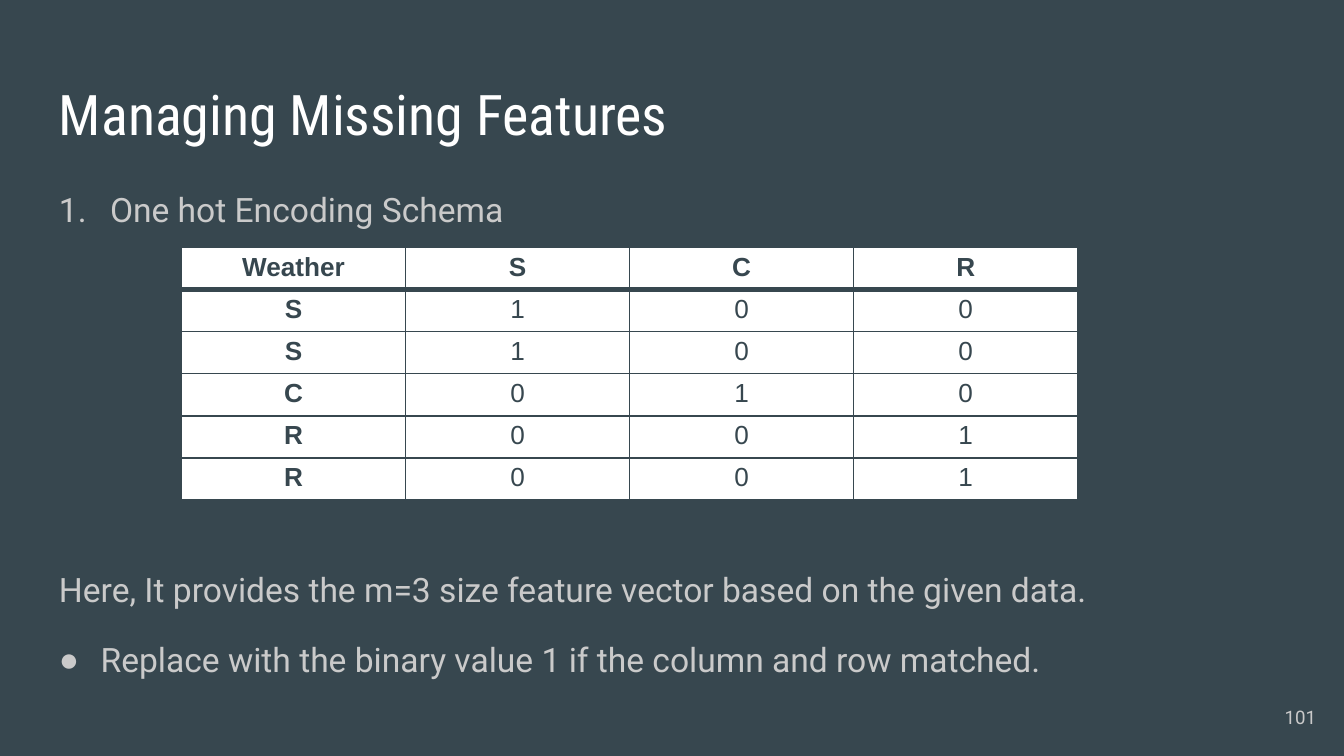
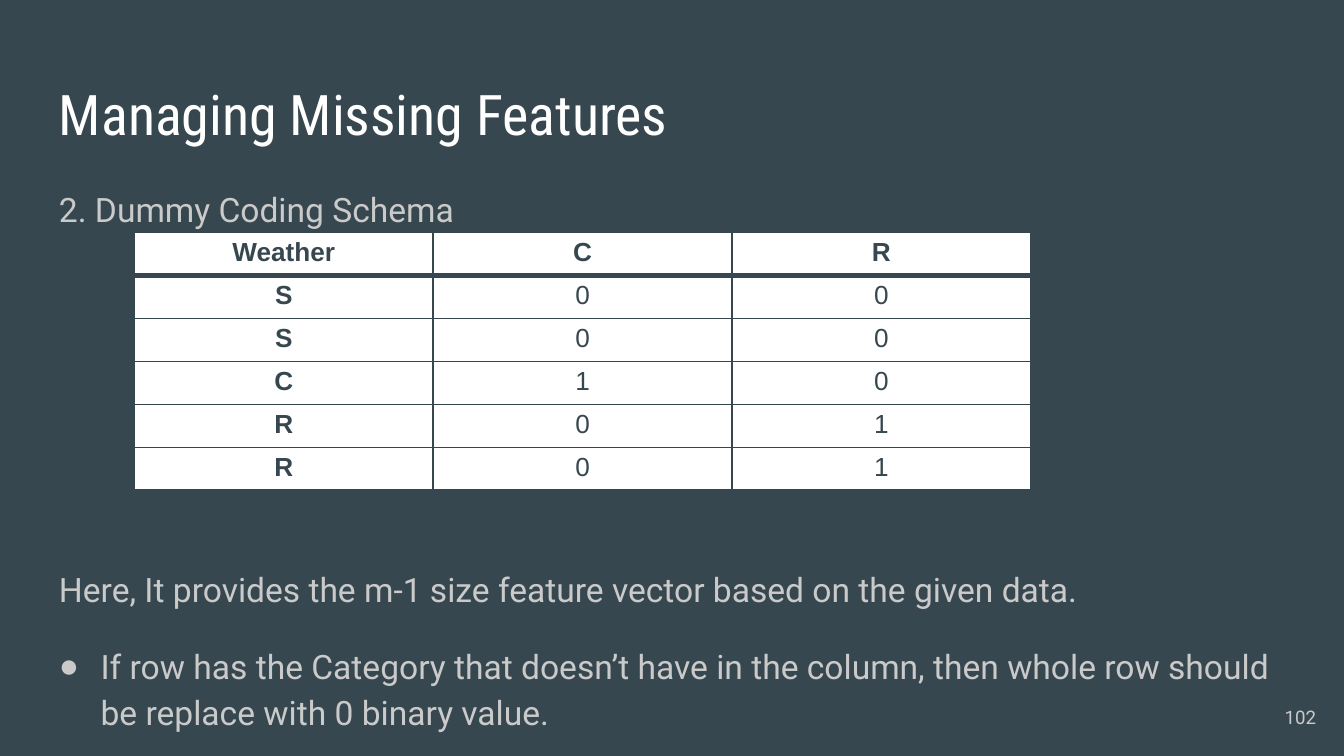
from dataclasses import dataclass
from typing import Optional

from lxml.etree import SubElement
from pptx import Presentation
from pptx.dml.color import RGBColor
from pptx.enum.text import MSO_ANCHOR as Anchor, PP_ALIGN as Align
from pptx.oxml.ns import qn
from pptx.util import Inches, Pt

SLATE, WHITE, GREY = "37474F", "FFFFFF", "CACACA"
TITLE_STYLE = {"name": "Roboto Condensed", "size": Pt(30)}
BODY_STYLE = {"name": "Roboto", "size": Pt(18)}
NUMBER_STYLE = {"name": "Roboto", "size": Pt(10)}
CELL_STYLE = {"name": "Arial", "size": Pt(14)}
TABLE_GAP = Pt(163)


@dataclass(frozen=True)
class Box:
    left: float
    top: float
    width: float
    height: float

    def lengths(self) -> list:
        return [Inches(value) for value in (self.left, self.top, self.width, self.height)]


@dataclass(frozen=True)
class Bullet:
    tag: str
    attribute: str
    value: str
    font: str


@dataclass(frozen=True)
class Line:
    text: str
    bullet: Optional[Bullet] = None
    indent: float = 0
    spacing: float = 1.15
    space_before: int = 0


@dataclass(frozen=True)
class EncodingSlide:
    number: int
    lines: list[Line]
    table_box: Box
    row_height: float
    columns: list[str]


TITLE_BOX = Box(0.34, 0.49, 9.32, 0.63)
BODY_BOX = Box(0.34, 1.26, 9.32, 4.29)
NUMBER_BOX = Box(9.29, 5.12, 0.6, 0.43)
WEATHER = ["S", "S", "C", "R", "R"]
ORDERED = Bullet("a:buAutoNum", "type", "arabicPeriod", "Roboto")
DOT = Bullet("a:buChar", "char", "●", "Arial")

SLIDES = [
    EncodingSlide(
        101,
        [
            Line("One hot Encoding Schema", ORDERED, 0.38),
            Line("Here, It provides the m=3 size feature vector based on the given data.",
                 space_before=TABLE_GAP),
            Line("Replace with the binary value 1 if the column and row matched.",
                 DOT, 0.31, spacing=1.0),
        ],
        Box(1.35, 1.84, 6.67, 2), 0.29, ["S", "C", "R"],
    ),
    EncodingSlide(
        102,
        [
            Line("2. Dummy Coding Schema"),
            Line("Here, It provides the m-1 size feature vector based on the given data.",
                 space_before=TABLE_GAP),
            Line("If row has the Category that doesn’t have in the column, "
                 "then whole row should be replace with 0 binary value.", DOT, 0.31),
        ],
        Box(1, 1.73, 6.67, 2), 0.32, ["C", "R"],
    ),
]


def color(value: str) -> RGBColor:
    return RGBColor.from_string(value)


def write(paragraph, text: str, style: dict, text_color: str) -> None:
    run = paragraph.add_run()
    run.text = text
    for name, value in style.items():
        setattr(run.font, name, value)
    run.font.color.rgb = color(text_color)


def add_frame(slide, box: Box):
    frame = slide.shapes.add_textbox(*box.lengths()).text_frame
    frame.word_wrap = True
    for side in ("left", "top", "right", "bottom"):
        setattr(frame, f"margin_{side}", Inches(0.1))
    return frame


def add_color(parent, tag: str, value: str) -> None:
    SubElement(SubElement(parent, qn(tag)), qn("a:srgbClr")).set("val", value)


def add_bullet(paragraph, bullet: Bullet, indent: float) -> None:
    properties = paragraph._p.get_or_add_pPr()
    properties.set("marL", str(Inches(indent)))
    properties.set("indent", str(-Inches(indent)))
    add_color(properties, "a:buClr", GREY)
    SubElement(properties, qn("a:buFont")).set("typeface", bullet.font)
    SubElement(properties, qn(bullet.tag)).set(bullet.attribute, bullet.value)


def add_body(slide, lines: list[Line]) -> None:
    frame = add_frame(slide, BODY_BOX)
    for index, line in enumerate(lines):
        paragraph = frame.add_paragraph() if index else frame.paragraphs[0]
        paragraph.line_spacing = line.spacing
        paragraph.space_after = Pt(16)
        if line.space_before:
            paragraph.space_before = line.space_before
        if line.bullet:
            add_bullet(paragraph, line.bullet, line.indent)
        write(paragraph, line.text, BODY_STYLE, GREY)


def add_borders(cell, row: int) -> None:
    """Rule the cell, with a heavy line between the header and the first row."""
    widths = {"L": 1, "R": 1, "T": 3 if row == 1 else 1, "B": 3 if row == 0 else 1}
    properties = cell._tc.get_or_add_tcPr()
    for side, width in widths.items():
        border = SubElement(properties, qn(f"a:ln{side}"))
        border.set("w", str(Pt(width)))
        add_color(border, "a:solidFill", SLATE)


def add_encoding_table(slide, content: EncodingSlide) -> None:
    """Show 1 where a row's weather is the column's category, and 0 elsewhere."""
    rows = [["Weather", *content.columns]]
    rows += [[weather, *(str(int(weather == name)) for name in content.columns)]
             for weather in WEATHER]
    table = slide.shapes.add_table(len(rows), len(rows[0]), *content.table_box.lengths()).table
    table.first_row = table.horz_banding = False
    for table_row in table.rows:
        table_row.height = Inches(content.row_height)
    for row, values in enumerate(rows):
        for column, value in enumerate(values):
            cell = table.cell(row, column)
            cell.margin_top = cell.margin_bottom = Inches(0.04)
            add_borders(cell, row)
            cell.fill.solid()
            cell.fill.fore_color.rgb = color(WHITE)
            paragraph = cell.text_frame.paragraphs[0]
            paragraph.alignment = Align.CENTER
            write(paragraph, value, CELL_STYLE | {"bold": row == 0 or column == 0}, SLATE)


def add_encoding_slide(presentation, content: EncodingSlide) -> None:
    slide = presentation.slides.add_slide(presentation.slide_layouts[6])
    slide.background.fill.solid()
    slide.background.fill.fore_color.rgb = color(SLATE)
    title = add_frame(slide, TITLE_BOX)
    write(title.paragraphs[0], "Managing Missing Features", TITLE_STYLE, WHITE)
    add_body(slide, content.lines)
    number = add_frame(slide, NUMBER_BOX)
    number.vertical_anchor = Anchor.MIDDLE
    number.paragraphs[0].alignment = Align.RIGHT
    write(number.paragraphs[0], str(content.number), NUMBER_STYLE, GREY)
    add_encoding_table(slide, content)


def main() -> None:
    presentation = Presentation()
    presentation.slide_width = Inches(10)
    presentation.slide_height = Inches(10) * 9 // 16
    for content in SLIDES:
        add_encoding_slide(presentation, content)
    presentation.save("out.pptx")


if __name__ == "__main__":
    main()
